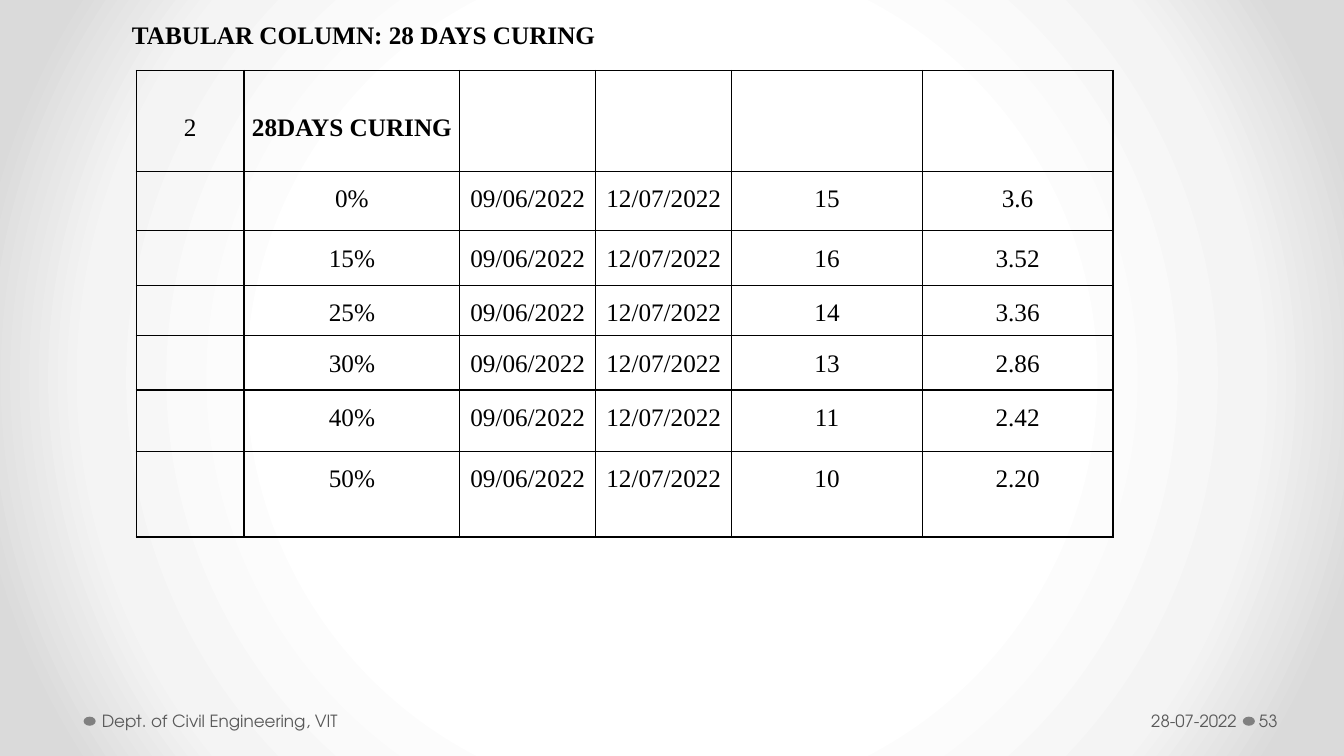
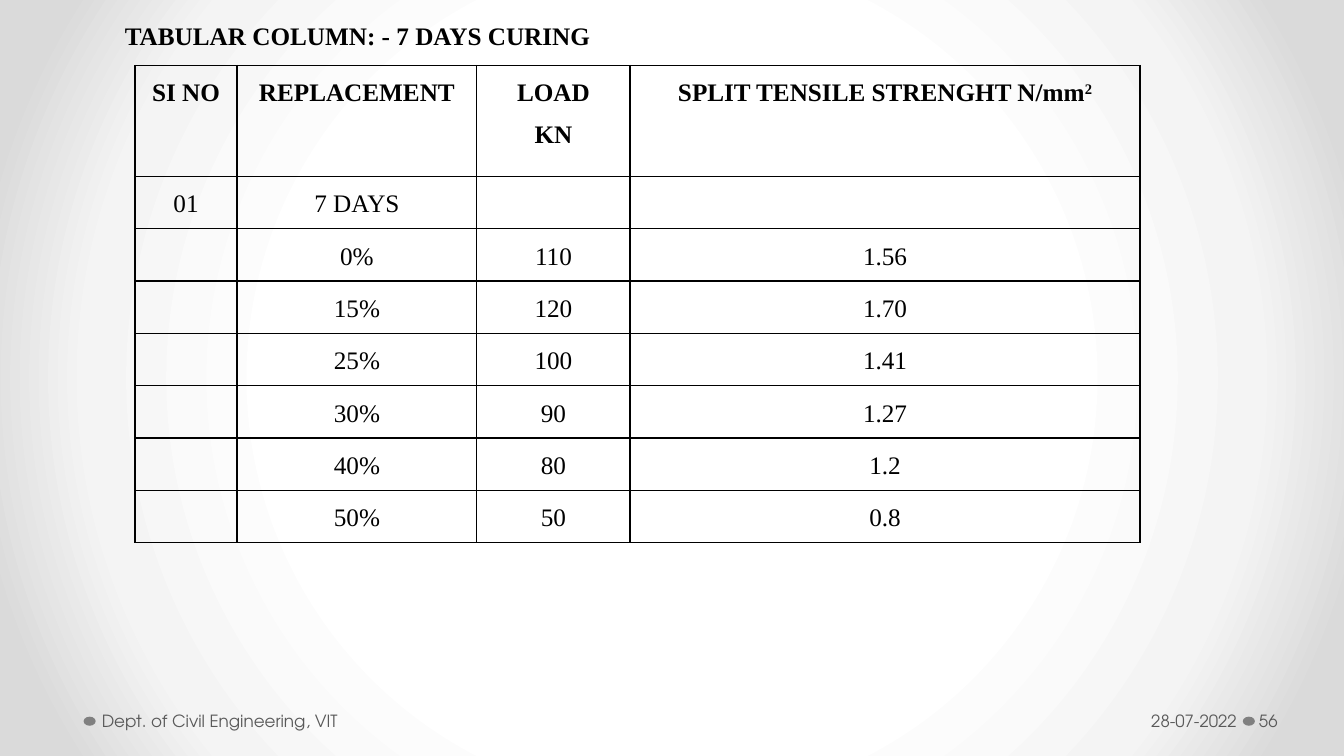
from dataclasses import dataclass
from typing import Any

import pptx
import pptx.dml.color
import pptx.enum.shapes
import pptx.enum.text
import pptx.oxml
import pptx.oxml.ns
import pptx.util

Align = pptx.enum.text.PP_ALIGN
Anchor = pptx.enum.text.MSO_ANCHOR
Inches, Pt = pptx.util.Inches, pptx.util.Pt
RGB = pptx.dml.color.RGBColor.from_string
qn = pptx.oxml.ns.qn

SLIDE_W, SLIDE_H = Inches(13.333), Inches(7.5)


@dataclass(frozen=True)
class Theme:
    body_font: str = "Times New Roman"
    footer_font: str = "TeX Gyre Adventor"
    body_size: int = 18
    footer_size: int = 12
    ink: str = "000000"
    footer_ink: str = "595959"
    dot: str = "808080"
    border_pt: int = 1
    line_spacing: float = 1.5
    space_after: int = 8
    backdrop: tuple = ((50, "FFFFFF"), (76, "F4F4F4"), (92, "DADADA"))


THEME = Theme()
BODY = {"name": THEME.body_font, "size": Pt(THEME.body_size), "bold": False}
STRONG = {**BODY, "bold": True}
FOOTER = {"name": THEME.footer_font, "size": Pt(THEME.footer_size)}


@dataclass(frozen=True)
class Area:
    """A rectangle in percent of the slide's width and height."""
    left: float
    top: float
    width: float
    height: float

    def emu(self) -> tuple:
        return (across(self.left), down(self.top),
                across(self.width), down(self.height))


@dataclass(frozen=True)
class Heading:
    text: str
    area: Area
    wrap: bool = False
    line_spacing: float = 1.0
    margin: float = 0
    indent: float = 0


@dataclass(frozen=True)
class Results:
    """Table whose columns and rows are percent of the slide's size."""
    left: float
    top: float
    columns: tuple
    rows: tuple
    cells: tuple
    bold_cells: frozenset
    middle_rows: tuple = ()


@dataclass(frozen=True)
class Page:
    number: str
    heading: Heading
    results: Results


@dataclass(frozen=True)
class FooterItem:
    text: str
    area: Area
    align: Any
    left_inset: float
    right_inset: float


# Content
DATES = ("09/06/2022", "12/07/2022")
SHARES = ("0%", "15%", "25%", "30%", "40%", "50%")
LOADS_28 = ("15", "16", "14", "13", "11", "10")
STRENGTHS_28 = ("3.6", "3.52", "3.36", "2.86", "2.42", "2.20")
LOADS_7 = ("110", "120", "100", "90", "80", "50")
STRENGTHS_7 = ("1.56", "1.70", "1.41", "1.27", "1.2", "0.8")

PAGES = (
    Page(
        "53",
        Heading("TABULAR COLUMN: 28 DAYS CURING", Area(9.08, 1.87, 36.3, 5.33)),
        Results(
            10.13, 9.33,
            (8.03, 16.05, 10.12, 10.12, 14.18, 14.18),
            (13.33, 7.87, 7.2, 6.67, 7.2, 8.13, 11.33),
            (("2", "28DAYS CURING", "", "", "", ""),
             *(("", share, *DATES, load, strength) for share, load, strength
               in zip(SHARES, LOADS_28, STRENGTHS_28))),
            frozenset({(0, 1)}), middle_rows=(0,)),
    ),
    Page(
        "56",
        Heading("TABULAR COLUMN: - 7 DAYS CURING", Area(2.7, 0, 50, 7.47),
                wrap=True, line_spacing=THEME.line_spacing,
                margin=0.58, indent=0.2),
        Results(
            10.05, 8.67,
            (7.58, 17.85, 11.4, 37.95),
            (14.67, *[6.92] * 7),
            (("SI NO", "REPLACEMENT", "LOAD\nKN",
              "SPLIT TENSILE STRENGHT N/mm^2"),
             ("01", "7 DAYS", "", ""),
             *(("", *row) for row in zip(SHARES, LOADS_7, STRENGTHS_7))),
            frozenset((0, column) for column in range(4))),
    ),
)


# Helpers
def across(percent: float) -> int:
    return round(SLIDE_W * percent / 100)


def down(percent: float) -> int:
    return round(SLIDE_H * percent / 100)


def apply(target: Any, values: dict) -> None:
    for name, value in values.items():
        setattr(target, name, value)


def write_run(paragraph: Any, text: str, font: dict, color: str) -> Any:
    run = paragraph.add_run()
    run.text = text
    apply(run.font, font)
    run.font.color.rgb = RGB(color)
    return run


def add_text(slide: Any, area: Area, frame_format: dict) -> Any:
    frame = slide.shapes.add_textbox(*area.emu()).text_frame
    apply(frame, frame_format)
    return frame.paragraphs[0]


# Shared background and footer
def paint_backdrop(master: Any) -> None:
    fill = master.background.fill
    fill.gradient()
    old = master.element.find(".//" + qn("a:gradFill"))
    stops = "".join(
        f'<a:gs pos="{pos * 1000}"><a:srgbClr val="{color}"/></a:gs>'
        for pos, color in THEME.backdrop)
    new = pptx.oxml.parse_xml(
        f'<a:gradFill {pptx.oxml.ns.nsdecls("a")} rotWithShape="1">'
        f'<a:gsLst>{stops}</a:gsLst><a:path path="circle">'
        '<a:fillToRect l="50000" t="50000" r="50000" b="50000"/>'
        '</a:path></a:gradFill>')
    old.getparent().replace(old, new)


def add_footer(slide: Any, number: str) -> None:
    for left in (92.47, 6.22):
        dot = slide.shapes.add_shape(
            pptx.enum.shapes.MSO_SHAPE.OVAL, *Area(left, 94.8, 0.9, 1.2).emu())
        dot.shadow.inherit = False
        dot.fill.solid()
        dot.fill.fore_color.rgb = RGB(THEME.dot)
        dot.line.fill.background()
    items = (
        FooterItem("28-07-2022", Area(69.6, 92.67, 22.8, 5.33),
                   Align.RIGHT, 0.1, 0.05),
        FooterItem("Dept. of Civil Engineering, VIT",
                   Area(7.2, 92.67, 31.1, 5.33), Align.LEFT, 0.05, 0.1),
        FooterItem(number, Area(93.45, 92.67, 6.15, 5.33),
                   Align.LEFT, 0.03, 0.05),
    )
    for item in items:
        paragraph = add_text(slide, item.area, {
            "word_wrap": True, "vertical_anchor": Anchor.MIDDLE,
            "margin_left": Inches(item.left_inset),
            "margin_right": Inches(item.right_inset)})
        paragraph.alignment = item.align
        write_run(paragraph, item.text, FOOTER, THEME.footer_ink)


# Heading
def add_heading(slide: Any, heading: Heading) -> None:
    paragraph = add_text(slide, heading.area, {"word_wrap": heading.wrap})
    paragraph.line_spacing = heading.line_spacing
    if heading.margin:
        properties = paragraph._p.get_or_add_pPr()
        properties.set("marL", str(Inches(heading.margin)))
        properties.set("indent", str(Inches(heading.indent)))
    write_run(paragraph, heading.text, STRONG, THEME.ink)


# Results table
def draw_borders(cell: Any) -> None:
    properties = cell._tc.get_or_add_tcPr()
    for place, side in enumerate(("lnL", "lnR", "lnT", "lnB")):
        properties.insert(place, pptx.oxml.parse_xml(
            f'<a:{side} {pptx.oxml.ns.nsdecls("a")} w="{Pt(THEME.border_pt)}">'
            f'<a:solidFill><a:srgbClr val="{THEME.ink}"/></a:solidFill>'
            f'</a:{side}>'))


def fill_cell(cell: Any, text: str, font: dict, anchor: Any) -> None:
    """Lines become paragraphs; what follows ^ is raised."""
    apply(cell, {"margin_left": Inches(0.07), "margin_right": Inches(0.07),
                 "margin_top": 0, "margin_bottom": 0,
                 "vertical_anchor": anchor})
    cell.fill.background()
    draw_borders(cell)
    if not text:
        return
    frame = cell.text_frame
    for index, line in enumerate(text.split("\n")):
        paragraph = frame.add_paragraph() if index else frame.paragraphs[0]
        apply(paragraph, {"alignment": Align.CENTER,
                          "line_spacing": THEME.line_spacing})
        base, _, raised = line.partition("^")
        write_run(paragraph, base, font, THEME.ink)
        if raised:
            exponent = write_run(paragraph, raised, font, THEME.ink)
            exponent.font._element.set("baseline", "30000")
    paragraph.space_after = Pt(THEME.space_after)


def add_results(slide: Any, results: Results) -> None:
    area = Area(results.left, results.top,
                sum(results.columns), sum(results.rows))
    table = slide.shapes.add_table(
        len(results.rows), len(results.columns), *area.emu()).table
    apply(table, {"first_row": False, "horz_banding": False})
    for column, width in zip(table.columns, results.columns):
        column.width = across(width)
    for row, height in zip(table.rows, results.rows):
        row.height = down(height)
    for r, texts in enumerate(results.cells):
        anchor = Anchor.MIDDLE if r in results.middle_rows else Anchor.TOP
        for c, text in enumerate(texts):
            font = STRONG if (r, c) in results.bold_cells else BODY
            fill_cell(table.cell(r, c), text, font, anchor)


def main() -> None:
    deck = pptx.Presentation()
    apply(deck, {"slide_width": SLIDE_W, "slide_height": SLIDE_H})
    paint_backdrop(deck.slide_master)
    for page in PAGES:
        slide = deck.slides.add_slide(deck.slide_layouts[6])
        add_footer(slide, page.number)
        add_heading(slide, page.heading)
        add_results(slide, page.results)
    deck.save("out.pptx")


if __name__ == "__main__":
    main()
